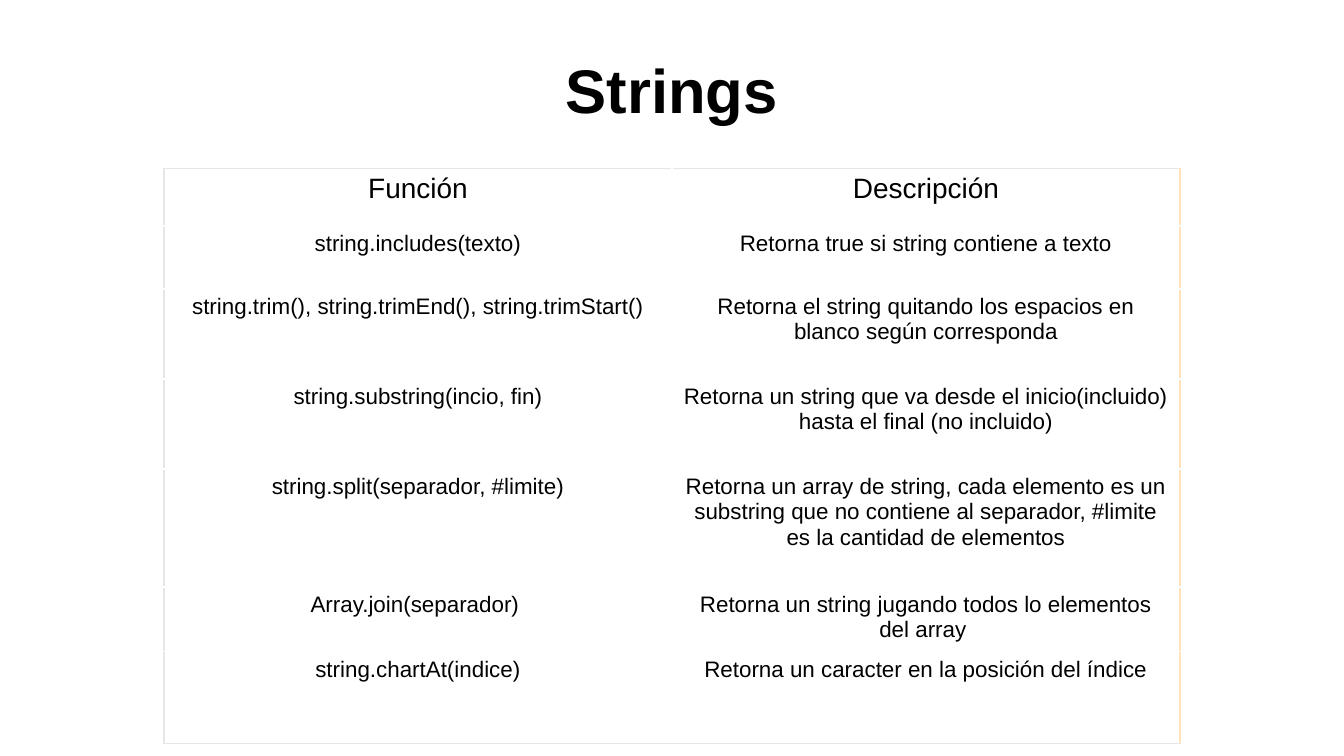
import pptx
import pptx.dml.color
import pptx.enum.text
import pptx.oxml
import pptx.oxml.ns
import pptx.util

Cm = pptx.util.Cm
COLORS = {"text": "000000", "paper": "FFFFFF", "edge": "E6E6E6", "accent": "FFE2BA"}
FUNCTIONS = [
    ("Función", "Descripción", 1.09),
    ("string.includes(texto)", "Retorna true si string contiene a texto", 1.19),
    ("string.trim(), string.trimEnd(), string.trimStart()",
     "Retorna el string quitando los espacios en blanco según corresponda", 1.7),
    ("string.substring(incio, fin)",
     "Retorna un string que va desde el inicio(incluido) hasta el final (no incluido)", 1.71),
    ("string.split(separador, #limite)",
     "Retorna un array de string, cada elemento es un substring que no contiene "
     "al separador, #limite es la cantidad de elementos", 2.23),
    ("Array.join(separador) ", "Retorna un string jugando todos lo elementos del array ", 1.21),
    ("string.chartAt(indice)", "Retorna un caracter en la posición del índice", 1.74),
]


class SlideBuilder:
    font = "Arial"
    border_width = 0.75

    def __init__(self, page):
        self.page = page

    def color(self, name):
        return pptx.dml.color.RGBColor.from_string(COLORS[name])

    def add_text(self, frame, text, size, bold=False):
        para = frame.paragraphs[0]
        para.alignment = pptx.enum.text.PP_ALIGN.CENTER
        span = para.add_run()
        span.text = text
        span.font.name = self.font
        span.font.size = pptx.util.Pt(size)
        span.font.bold = bold
        span.font.color.rgb = self.color("text")

    def title(self, text, left, top, width, height):
        box = self.page.shapes.add_textbox(Cm(left), Cm(top), Cm(width), Cm(height))
        frame = box.text_frame
        frame.word_wrap = True
        frame.margin_left = frame.margin_right = Cm(0.19)
        frame.margin_top = frame.margin_bottom = Cm(0.1)
        self.add_text(frame, text, 33, bold=True)

    def borders(self, cell, sides):
        properties = cell._tc.get_or_add_tcPr()
        names = [side for side in "LRTB" if side in sides]
        for position, side in enumerate(names):
            line = pptx.oxml.parse_xml(
                f'<a:ln{side} {pptx.oxml.ns.nsdecls("a")} w="{pptx.util.Pt(self.border_width)}">'
                f'<a:solidFill><a:srgbClr val="{COLORS[sides[side]]}"/></a:solidFill></a:ln{side}>')
            properties.insert(position, line)

    def veil(self, cell):
        cell.fill.solid()
        cell.fill.fore_color.rgb = self.color("paper")
        tint = cell._tc.tcPr.find(".//" + pptx.oxml.ns.qn("a:srgbClr"))
        tint.append(pptx.oxml.parse_xml(
            f'<a:alpha {pptx.oxml.ns.nsdecls("a")} val="20000"/>'))

    def table(self, rows, left, top, column_width):
        height = sum(row[-1] for row in rows)
        table = self.page.shapes.add_table(
            len(rows), 2, Cm(left), Cm(top), Cm(2 * column_width), Cm(height)).table
        table.first_row = table.horz_banding = False
        for column in table.columns:
            column.width = Cm(column_width)
        last = len(rows) - 1
        for index, (*texts, row_height) in enumerate(rows):
            table.rows[index].height = Cm(row_height)
            for side, text in enumerate(texts):
                cell = table.cell(index, side)
                cell.margin_left = cell.margin_right = Cm(0.2)
                cell.margin_top = cell.margin_bottom = Cm(0.1)
                self.add_text(cell.text_frame, text, 12 if index else 15)
                if index % 2:
                    self.veil(cell)
                else:
                    cell.fill.background()
                edges = {"R": "accent"} if side else {"L": "edge"}
                if index == 0:
                    edges.update(T="edge", B="paper")
                if index == last:
                    edges["B"] = "edge"
                self.borders(cell, edges)


def main():
    deck = pptx.Presentation()
    deck.slide_width, deck.slide_height = Cm(25.4), Cm(14.29)
    builder = SlideBuilder(deck.slides.add_slide(deck.slide_layouts[6]))
    builder.title("Strings", 0, 0.89, 25.4, 1.6)
    builder.table(FUNCTIONS, 3.1, 3.18, 9.6)
    deck.save("out.pptx")


if __name__ == "__main__":
    main()
